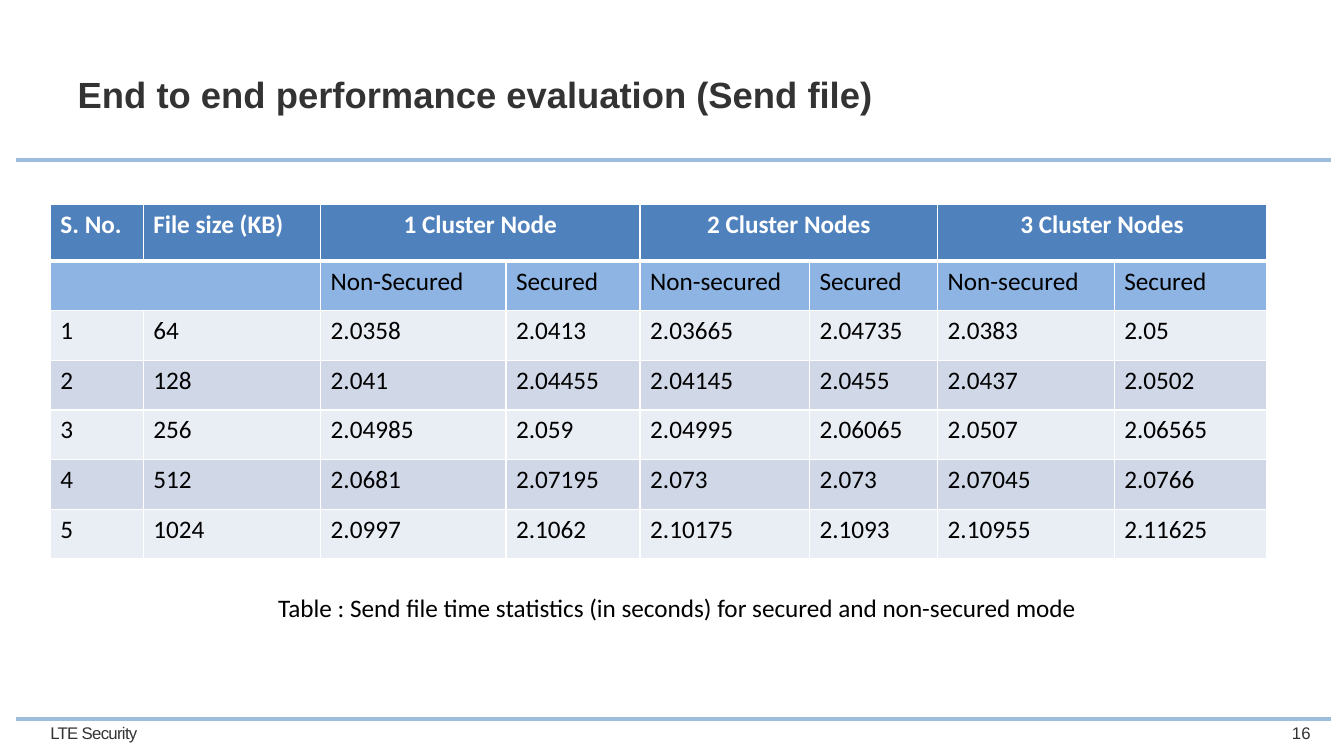
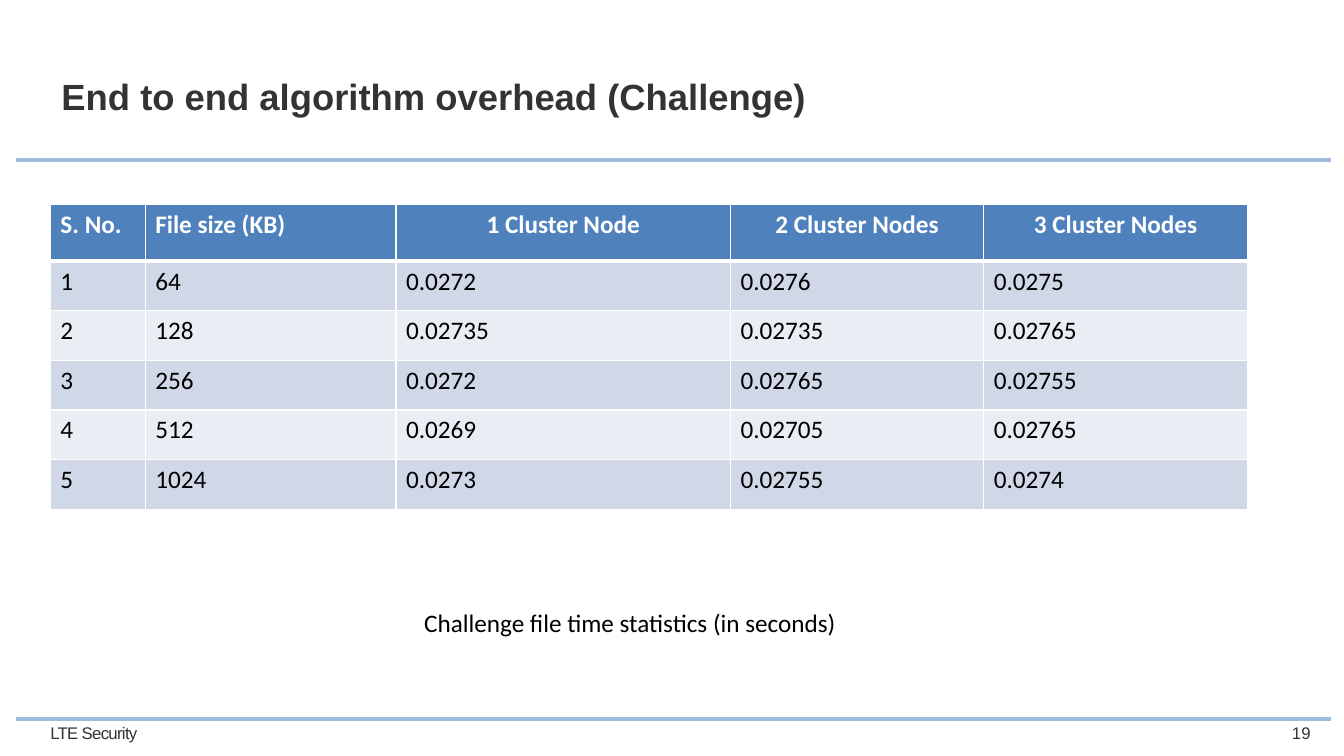
from lxml import etree
from pptx import Presentation
from pptx.dml.color import RGBColor
from pptx.enum.shapes import MSO_CONNECTOR
from pptx.enum.text import PP_ALIGN
from pptx.oxml.ns import qn
from pptx.util import Cm, Pt

STRAIGHT = MSO_CONNECTOR.STRAIGHT
LEFT, CENTER = PP_ALIGN.LEFT, PP_ALIGN.CENTER

COLORS = {
    "rule": "9CBDDE", "heading": "333333", "body": "000000", "white": "FFFFFF",
    "header": "4F81BD", "subheader": "8EB4E3", "dark_band": "D0D8E8", "light_band": "E9EDF4",
}
HEADING_FONT, BODY_FONT = "Arial", "Calibri"
FOOTER = "LTE Security"

# Content: None continues the cell to its left
SLIDES = [
    {
        "title": "End to end performance evaluation (Send file)",
        "title_at": (1.96, 1.83),
        "number": 16,
        "columns": [2.34, 4.47, 4.67, 3.38, 4.27, 3.23, 4.45, 3.84],
        "has_subheader": True,
        "rows": [
            ["S. No.", "File size (KB)", "1 Cluster Node", None,
             "2 Cluster Nodes", None, "3 Cluster Nodes", None],
            ["", None, "Non-Secured", "Secured", "Non-secured", "Secured",
             "Non-secured", "Secured"],
            ["1", "64", "2.0358", "2.0413", "2.03665", "2.04735", "2.0383", "2.05"],
            ["2", "128", "2.041", "2.04455", "2.04145", "2.0455", "2.0437", "2.0502"],
            ["3", "256", "2.04985", "2.059", "2.04995", "2.06065", "2.0507", "2.06565"],
            ["4", "512", "2.0681", "2.07195", "2.073", "2.073", "2.07045", "2.0766"],
            ["5", "1024", "2.0997", "2.1062", "2.10175", "2.1093", "2.10955", "2.11625"],
        ],
        "caption": "Table : Send file time statistics (in seconds) for secured and non-secured mode",
        "caption_at": (6.76, 14.81),
    },
    {
        "title": "End to end algorithm overhead (Challenge)",
        "title_at": (1.55, 1.88),
        "number": 19,
        "columns": [2.39, 6.32, 8.43, 6.38, 6.65],
        "has_subheader": False,
        "rows": [
            ["S. No.", "File size (KB)", "1 Cluster Node", "2 Cluster Nodes", "3 Cluster Nodes"],
            ["1", "64", "0.0272", "0.0276", "0.0275"],
            ["2", "128", "0.02735", "0.02735", "0.02765"],
            ["3", "256", "0.0272", "0.02765", "0.02755"],
            ["4", "512", "0.0269", "0.02705", "0.02765"],
            ["5", "1024", "0.0273", "0.02755", "0.0274"],
        ],
        "caption": "Challenge file time statistics (in seconds)",
        "caption_at": (10.44, 15.19),
    },
]

# Shared layout, in centimetres
SLIDE_SIZE = (33.87, 19.05)
RULE_LEFT, RULE_RIGHT = 0.41, 33.53
RULE_TOPS = (4.04, 18.11)
TITLE_SIZE, CAPTION_SIZE = (29.95, 1.12), (21.82, 1.02)
FOOTER_BOX = (1.27, 18.21, 5.16, 0.51)
NUMBER_BOX = (32.56, 18.21, 1.05, 0.51)
TABLE_LEFT, TABLE_TOP = 1.27, 5.16
HEADER_HEIGHT, ROW_HEIGHT = 1.42, 1.25


def rgb(name):
    return RGBColor.from_string(COLORS[name])


def style_text(paragraph, font, size, color, bold=False):
    for run in paragraph.runs:
        run.font.name = font
        run.font.size = Pt(size)
        run.font.bold = bold
        run.font.color.rgb = rgb(color)


def add_text(slide, box, text, font, size, color, bold=False, padded=False):
    frame = slide.shapes.add_textbox(*map(Cm, box)).text_frame
    frame.word_wrap = True
    if not padded:
        frame.margin_left = frame.margin_right = 0
        frame.margin_top = frame.margin_bottom = 0
    frame.text = text
    style_text(frame.paragraphs[0], font, size, color, bold)
    return frame.paragraphs[0]


def add_rule(slide, top):
    rule = slide.shapes.add_connector(
        STRAIGHT, Cm(RULE_LEFT), Cm(top), Cm(RULE_RIGHT), Cm(top))
    rule.line.color.rgb = rgb("rule")
    rule.line.width = Pt(3)
    etree.SubElement(rule._element.spPr, qn("a:effectLst"))


def set_borders(cell, widths):
    properties = cell._tc.get_or_add_tcPr()
    for side, width in zip(("a:lnL", "a:lnR", "a:lnT", "a:lnB"), widths):
        line = etree.SubElement(properties, qn(side), w=str(Pt(width)))
        fill = etree.SubElement(line, qn("a:solidFill"))
        etree.SubElement(fill, qn("a:srgbClr"), val=COLORS["white"])


def row_fill(row, has_subheader):
    if row == 0:
        return "header"
    if row == 1 and has_subheader:
        return "subheader"
    return "dark_band" if row % 2 else "light_band"


def add_statistics(slide, rows, columns, has_subheader):
    heights = [HEADER_HEIGHT] + [ROW_HEIGHT] * (len(rows) - 1)
    table = slide.shapes.add_table(
        len(rows), len(columns), Cm(TABLE_LEFT), Cm(TABLE_TOP),
        Cm(sum(columns)), Cm(sum(heights))).table
    table.first_row = table.horz_banding = False
    for column, width in zip(table.columns, columns):
        column.width = Cm(width)
    for table_row, height in zip(table.rows, heights):
        table_row.height = Cm(height)

    for r, row in enumerate(rows):
        is_header = r == 0
        for c, text in enumerate(row):
            cell = table.cell(r, c)
            # The thick line lies between the header and the first row below it
            set_borders(cell, (1, 1, 3 if r == 1 else 1, 3 if is_header else 1))
            cell.fill.solid()
            cell.fill.fore_color.rgb = rgb(row_fill(r, has_subheader))
            if text is None:
                table.cell(r, c - 1).merge(cell)
                continue
            cell.text = text
            paragraph = cell.text_frame.paragraphs[0]
            paragraph.alignment = CENTER if is_header and c >= 2 else LEFT
            style_text(paragraph, BODY_FONT, 18, "white" if is_header else "body", is_header)


def add_frame(slide, title, title_at, number):
    for top in RULE_TOPS:
        add_rule(slide, top)
    add_text(slide, title_at + TITLE_SIZE, title, HEADING_FONT, 26, "heading", bold=True)
    footer = add_text(slide, FOOTER_BOX, FOOTER, HEADING_FONT, 12, "heading")
    footer.runs[0].font._element.set("spc", "-50")
    add_text(slide, NUMBER_BOX, str(number), HEADING_FONT, 12, "heading")


def main():
    deck = Presentation()
    deck.slide_width, deck.slide_height = map(Cm, SLIDE_SIZE)
    for content in SLIDES:
        slide = deck.slides.add_slide(deck.slide_layouts[6])
        add_frame(slide, content["title"], content["title_at"], content["number"])
        add_statistics(slide, content["rows"], content["columns"], content["has_subheader"])
        add_text(slide, content["caption_at"] + CAPTION_SIZE, content["caption"],
                 BODY_FONT, 18, "body", padded=True)
    deck.save("out.pptx")


if __name__ == "__main__":
    main()
